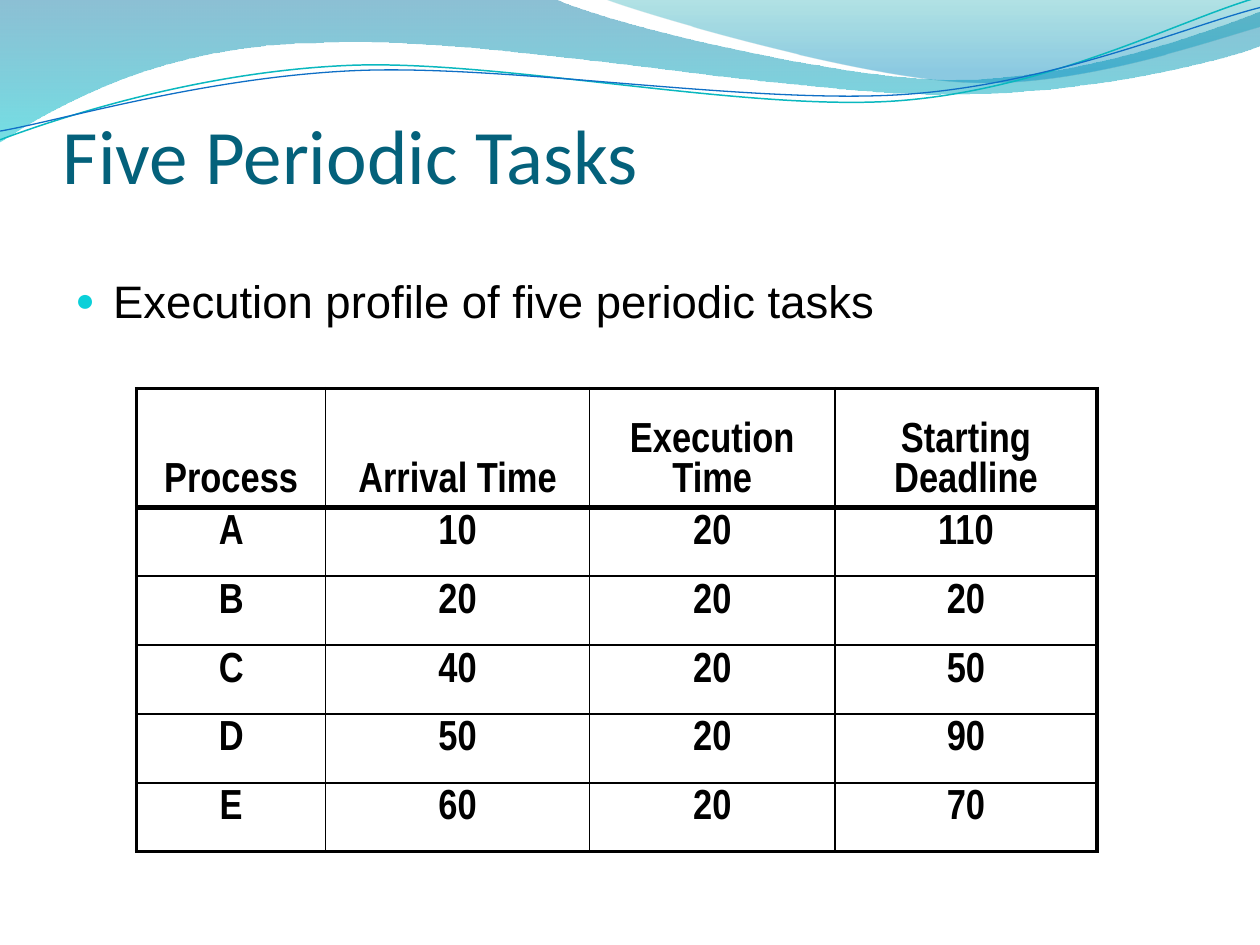
from lxml.etree import SubElement as sub
from pptx import Presentation
from pptx.dml.color import RGBColor
from pptx.enum.text import MSO_ANCHOR as ANCHOR, PP_ALIGN as ALIGN
from pptx.oxml.ns import qn
from pptx.util import Pt

BLACK = "000000"
ROWS = [
    ["Process", "Arrival Time", "Execution Time", "Starting Deadline"],
    ["A", "10", "20", "110"],
    ["B", "20", "20", "20"],
    ["C", "40", "20", "50"],
    ["D", "50", "20", "90"],
    ["E", "60", "20", "70"],
]
WAVE = [
    [(0, -0.7)], [(316.8, -0.7)],
    [(342.7, 12.2), (478.1, 45.4), (545.8, 45.4)],
    [(614.2, 45.4), (689.8, 18.7), (720, 6.5)],
    [(720.7, 25.9)],
    [(707.8, 31.7), (626.4, 54.7), (537.1, 54)],
    [(447.8, 54), (275, 20.2), (185, 24.5)],
    [(92.9, 25.2), (33.1, 59.8), (-0.7, 81.4)],
    [(0, -0.7)],
]
CREST = [
    [(344.9, -0.7)],
    [(366.5, 7.9), (491, 44.6), (553.7, 46.8)],
    [(616.3, 49.7), (691.9, 23), (720, 15.1)],
    [(720, 0)], [(344.9, -0.7)],
]
TEAL = [
    [(0, 79.9)],
    [(34.6, 67), (113.8, 41), (199.4, 37.4)],
    [(284.4, 33.8), (427, 64.1), (513.4, 57.6)],
    [(599.8, 51.1), (675.4, 10.8), (718.6, -1.4)],
]
BLUE = [
    [(0, 74.9)],
    [(33.8, 69.1), (118.1, 43.9), (203.8, 40.3)],
    [(290.2, 36.7), (429.8, 59.8), (516.2, 54)],
    [(601.9, 48.2), (677.5, 15.1), (720, 4.3)],
]


def tint(hue):
    """Turn a hex string into a colour."""
    return RGBColor.from_string(hue)


def curve(slide, path, close):
    """Draw a path whose three-point legs are cubic curves."""
    pts = [(Pt(x), Pt(y)) for leg in path for x, y in leg]
    pen = slide.shapes.build_freeform(*pts[0], scale=1.0)
    pen.add_line_segments(pts[1:], close=close)
    shape = pen.convert_to_shape()
    shape.shadow.inherit = False
    lines = iter(list(shape._element.spPr.iter(qn("a:lnTo"))))
    for leg in path[1:]:
        first, *rest = [next(lines) for _ in leg]
        if rest:
            first.tag = qn("a:cubicBezTo")
        for line in rest:
            first.append(line[0])
            line.getparent().remove(line)
    return shape


def band(slide, path, stops):
    """Draw a closed wave with a see-through gradient from top to bottom."""
    shape = curve(slide, path, True)
    shape.line.fill.background()
    fill = shape.fill
    fill.gradient()
    fill.gradient_angle = 270
    for stop, (pos, hue, _) in zip(fill.gradient_stops, stops):
        stop.position = pos
        stop.color.rgb = tint(hue)
    marks = shape._element.spPr.iter(qn("a:srgbClr"))
    for mark, (_, _, alpha) in zip(marks, stops):
        sub(mark, qn("a:alpha"), val=str(alpha * 1000))


def strand(slide, path, hue, width):
    """Draw an open wave line."""
    shape = curve(slide, path, False)
    shape.fill.background()
    shape.line.color.rgb = tint(hue)
    shape.line.width = Pt(width)


def write(para, text, font, size, hue, bold=False):
    """Add one styled run to a paragraph."""
    run = para.add_run()
    run.text = text
    run.font.name = font
    run.font.size = Pt(size)
    run.font.bold = bold
    run.font.color.rgb = tint(hue)


def frame(slide, x, y, w, h):
    """Add a wrapping text box and return its frame."""
    text = slide.shapes.add_textbox(Pt(x), Pt(y), Pt(w), Pt(h)).text_frame
    text.word_wrap = True
    return text


def title(slide, x, y, w, h):
    """Place the heading on the base of its box."""
    text = frame(slide, x, y, w, h)
    text.vertical_anchor = ANCHOR.BOTTOM
    text.margin_left = text.margin_right = text.margin_bottom = 0
    write(text.paragraphs[0], "Five Periodic Tasks", "Calibri", 44, "04617B")


def body(slide, x, y, w, h):
    """Place the bulleted line."""
    para = frame(slide, x, y, w, h).paragraphs[0]
    para.space_before = Pt(5.2)
    write(para, "Execution profile of five periodic tasks", "Arial", 26, BLACK)
    props = para._p.get_or_add_pPr()
    props.set("marL", str(Pt(21.6)))
    props.set("indent", str(-Pt(21.6)))
    sub(sub(props, qn("a:buClr")), qn("a:srgbClr"), val="0BD0D9")
    sub(props, qn("a:buSzPct"), val="71000")
    sub(props, qn("a:buFont"), typeface="Arial")
    sub(props, qn("a:buChar"), char="●")


def edge(cell, side, width):
    """Rule one side of a cell in black."""
    line = sub(cell._tc.get_or_add_tcPr(), qn("a:ln" + side), w=str(Pt(width)))
    sub(sub(line, qn("a:solidFill")), qn("a:srgbClr"), val=BLACK)


def grid(slide, x, y, widths, heights):
    """Place the task table with a heavy frame and header rule."""
    box = [Pt(v) for v in (x, y, sum(widths), sum(heights))]
    table = slide.shapes.add_table(len(heights), len(widths), *box).table
    table.first_row = table.horz_banding = False
    for col, w in zip(table.columns, widths):
        col.width = Pt(w)
    for row, h in zip(table.rows, heights):
        row.height = Pt(h)
    across = [2.25] + [1] * (len(widths) - 1) + [2.25]
    down = [2.25, 3] + [1] * (len(heights) - 2) + [2.25]
    for r, words in enumerate(ROWS):
        for c, word in enumerate(words):
            cell = table.cell(r, c)
            cell.vertical_anchor = ANCHOR.TOP if r else ANCHOR.BOTTOM
            para = cell.text_frame.paragraphs[0]
            para.alignment = ALIGN.CENTER
            para.space_before = Pt(4.8)
            write(para, word, "Arial Narrow", 24, BLACK, True)
            edge(cell, "L", across[c])
            edge(cell, "R", across[c + 1])
            edge(cell, "T", down[r])
            edge(cell, "B", down[r + 1])
            cell.fill.background()


def main():
    """Build and save the slide."""
    deck = Presentation()
    deck.slide_width, deck.slide_height = Pt(720), Pt(540)
    slide = deck.slides.add_slide(deck.slide_layouts[6])
    band(slide, WAVE, [(0, "0074A1", 45), (1, "00C6CF", 55)])
    band(slide, CREST, [(0, "00A1A9", 30), (0.8, "008BBF", 45)])
    strand(slide, TEAL, "0AB8BF", 0.85)
    strand(slide, BLUE, "0F6FC6", 0.75)
    title(slide, 36, 67.7, 648, 46.8)
    body(slide, 36, 152.6, 648, 345.6)
    grid(slide, 78.1, 222.1, [108, 150.7, 140.4, 149.6], [67.8] + [39.4] * 5)
    deck.save("out.pptx")


main()
